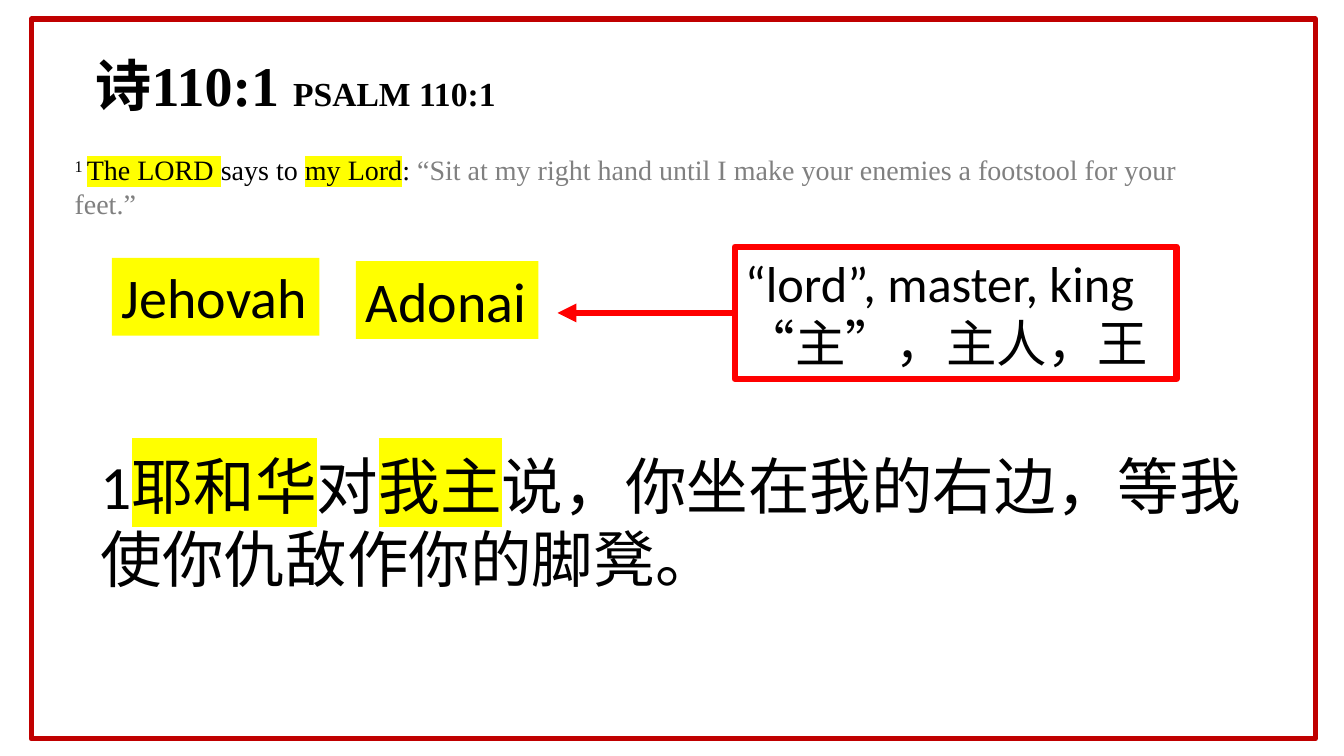
import pptx
import pptx.util
import pptx.dml.color
import pptx.enum.shapes
import pptx.enum.text
import pptx.oxml
import pptx.oxml.ns

Cm, Pt = pptx.util.Cm, pptx.util.Pt
SHAPE = pptx.enum.shapes.MSO_SHAPE
TEXT = pptx.enum.text
HEX = {"ink": "000000", "gray": "808080", "mark": "FFFF00",
       "frame": "C00000", "red": "FF0000"}
SERIF, SANS = "Times New Roman", "Calibri"


def tint(key):
    return pptx.dml.color.RGBColor.from_string(HEX[key])


def node(tag, attrs="", inner=""):
    space = pptx.oxml.ns.nsdecls("a")
    return pptx.oxml.parse_xml(f"<a:{tag} {space} {attrs}>{inner}</a:{tag}>")


def add_run(para, text, size, face, color="ink", mark=False, bold=False, lift=0):
    """Add one run; lift is the superscript height in percent."""
    run = para.add_run()
    run.text = text
    font = run.font
    font.size, font.name, font.bold = Pt(size), face, bold
    font.color.rgb = tint(color)
    props = font._element
    if mark:
        fill = props.find(pptx.oxml.ns.qn("a:solidFill"))
        fill.addnext(node("highlight", inner=f'<a:srgbClr val="{HEX["mark"]}"/>'))
    if lift:
        props.set("baseline", str(lift * 1000))


def set_frame(shape, wrap=True):
    frame = shape.text_frame
    frame.word_wrap = wrap
    frame.auto_size = TEXT.MSO_AUTO_SIZE.NONE
    frame.vertical_anchor = TEXT.MSO_ANCHOR.TOP
    frame.paragraphs[0].alignment = TEXT.PP_ALIGN.LEFT
    return frame


def add_box(slide, box, fill=None, line=None, width=0):
    shape = slide.shapes.add_shape(SHAPE.RECTANGLE, *map(Cm, box))
    shape.shadow.inherit = False
    if fill:
        shape.fill.solid()
        shape.fill.fore_color.rgb = tint(fill)
    else:
        shape.fill.background()
    if line:
        shape.line.color.rgb = tint(line)
        shape.line.width = Pt(width)
    else:
        shape.line.fill.background()
    return shape


def add_title(slide, box):
    title = slide.shapes.title
    title.left, title.top, title.width, title.height = map(Cm, box)
    para = set_frame(title).paragraphs[0]
    add_run(para, "诗110:1 ", 40, SERIF, bold=True)
    add_run(para, "PSALM 110:1", 24, SERIF, bold=True)


def add_verse(slide, box, size, face, runs):
    """Place a verse from (text, style) pairs."""
    shape = slide.shapes.add_textbox(*map(Cm, box))
    para = set_frame(shape).paragraphs[0]
    for text, style in runs:
        add_run(para, text, size, face, **style)


def add_name(slide, box, name):
    shape = add_box(slide, box, fill="mark")
    add_run(set_frame(shape, wrap=False).paragraphs[0], name, 40, SANS)


def add_gloss(slide, box, reach):
    """Place the meaning of Adonai, with an arrow of length reach to its left."""
    left, top, width, height = box
    mid = top + height / 2
    arrow = slide.shapes.add_connector(
        pptx.enum.shapes.MSO_CONNECTOR.STRAIGHT,
        Cm(left), Cm(mid), Cm(left - reach), Cm(mid))
    arrow.line.color.rgb = tint("red")
    arrow.line.width = Pt(4.5)
    arrow.line._get_or_add_ln().append(node("tailEnd", 'type="triangle"'))
    arrow._element.spPr.append(node("effectLst"))

    frame = set_frame(add_box(slide, box, line="red", width=4.5))
    first, second = frame.paragraphs[0], frame.add_paragraph()
    second.alignment = TEXT.PP_ALIGN.LEFT
    add_run(first, "“lord”, master, king", 36, SANS)
    add_run(second, "“主”，主人，王", 36, SANS)


def main():
    deck = pptx.Presentation()
    deck.slide_width, deck.slide_height = Cm(33.87), Cm(19.05)
    slide = deck.slides.add_slide(deck.slide_layouts[5])
    mark = {"mark": True}

    add_box(slide, (0.79, 0.48, 32.36, 18.14), line="frame", width=3.75)
    add_verse(slide, (1.63, 3.73, 29.29, 1.96), 20, SERIF, [
        ("1 ", {"lift": 30}),
        ("The LORD ", mark),
        ("says to ", {}),
        ("my Lord", mark),
        (": ", {}),
        ("“Sit at my right hand until I make your enemies a footstool "
         "for your feet.”", {"color": "gray"}),
    ])
    add_name(slide, (2.82, 6.5, 5.23, 1.96), "Jehovah")
    add_name(slide, (8.97, 6.58, 4.6, 1.96), "Adonai")
    add_gloss(slide, (18.52, 6.22, 11.13, 3.33), 4.47)
    add_title(slide, (2.16, 1.14, 13.39, 1.96))
    add_verse(slide, (2.29, 11.15, 29.29, 4.01), 44, SANS, [
        ("1", {}),
        ("耶和华", mark),
        ("对", {}),
        ("我主", mark),
        ("说，你坐在我的右边，等我使你仇敌作你的脚凳。", {}),
    ])
    deck.save("out.pptx")


if __name__ == "__main__":
    main()
